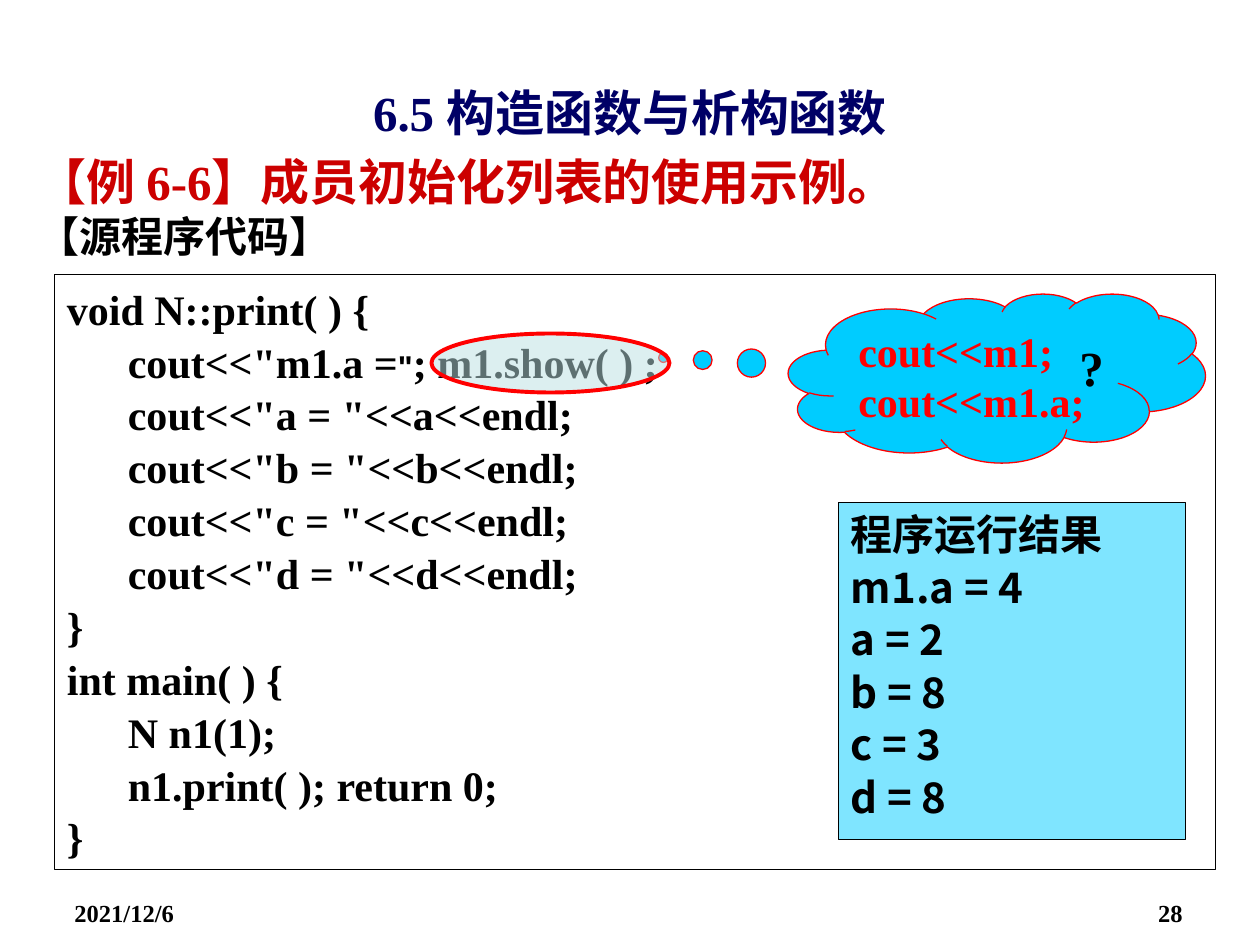
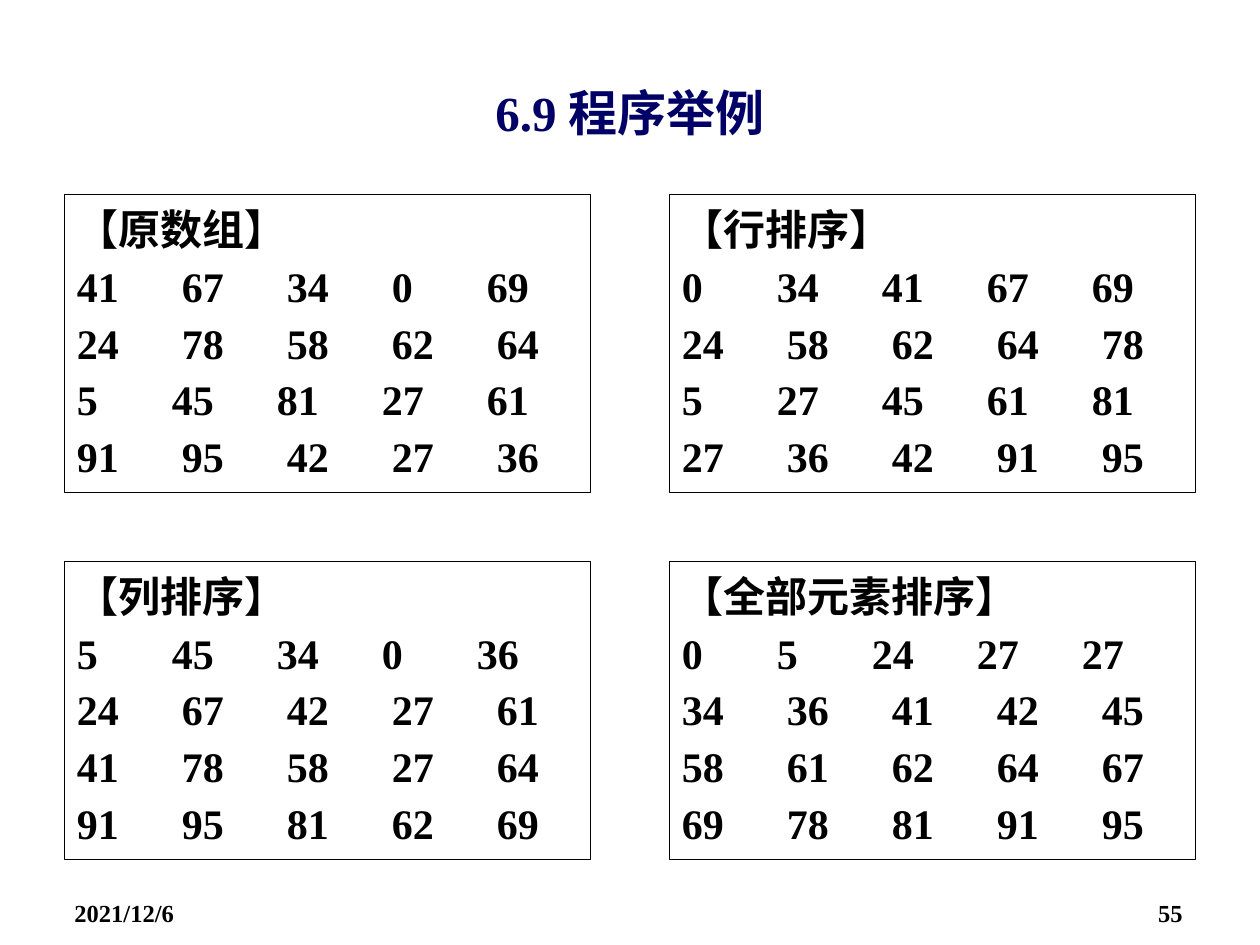
from pptx import Presentation
from pptx.dml.color import RGBColor
from pptx.enum.shapes import MSO_SHAPE as SHAPE
from pptx.enum.text import MSO_ANCHOR as ANCHOR, PP_ALIGN as ALIGN
from pptx.oxml.ns import qn
from pptx.util import Emu, Pt
from lxml.etree import SubElement

SCALE = 914400 / 126
HALF = 0.5  # centres thin outlines on whole pixels
ROMAN, HAN, ARIAL = "Times New Roman", "Noto Sans CJK SC", "Arial"
BLACK, NAVY, RED, CRIMSON = "000000", "000066", "FF0000", "CC0000"
CYAN, PALE = "00CCFF", "BBE0E3"
DATE = "2021/12/6"

# (level, text); the quote mark in the second line is set apart
CODE = [
    (0, "void N::print( ) {"),
    (1, ['cout<<"m1.a =', ('"', 18, ARIAL), "; m1.show( ) ;"]),
    (1, 'cout<<"a = "<<a<<endl;'),
    (1, 'cout<<"b = "<<b<<endl;'),
    (1, 'cout<<"c = "<<c<<endl;'),
    (1, 'cout<<"d = "<<d<<endl;'),
    (0, "}"),
    (0, "int main( ) {"),
    (1, "N n1(1);"),
    (1, "n1.print( ); return 0;"),
    (0, "}"),
]
RESULT = ["程序运行结果", "m1.a = 4", "a = 2", "b = 8", "c = 3", "d = 8"]
GUESS = ["cout<<m1;", "cout<<m1.a;"]
ARRAYS = [
    ("【原数组】", [(41, 67, 34, 0, 69), (24, 78, 58, 62, 64),
                 (5, 45, 81, 27, 61), (91, 95, 42, 27, 36)]),
    ("【行排序】", [(0, 34, 41, 67, 69), (24, 58, 62, 64, 78),
                 (5, 27, 45, 61, 81), (27, 36, 42, 91, 95)]),
    ("【列排序】", [(5, 45, 34, 0, 36), (24, 67, 42, 27, 61),
                 (41, 78, 58, 27, 64), (91, 95, 81, 62, 69)]),
    ("【全部元素排序】", [(0, 5, 24, 27, 27), (34, 36, 41, 42, 45),
                     (58, 61, 62, 64, 67), (69, 78, 81, 91, 95)]),
]


def px(n):
    return Emu(round(n * SCALE))


def rgb(code):
    return RGBColor.from_string(code)


def put(frame, text, size=24, font=ROMAN, color=BLACK, align=ALIGN.LEFT,
        before=0, lines=None, indent=0, tabs=()):
    """Add one paragraph; a list as text holds strings or (text, size, font)."""
    first = not frame.paragraphs[0].runs
    para = frame.paragraphs[0] if first else frame.add_paragraph()
    props = para._p.get_or_add_pPr()
    if indent:
        props.set("marL", str(px(indent)))
    para.alignment = align
    para.space_before = Pt(0 if first else before)
    if lines:
        para.line_spacing = lines
    if tabs:
        stops = SubElement(props, qn("a:tabLst"))
        for stop in tabs:
            SubElement(stops, qn("a:tab"), pos=str(px(stop)), algn="l")
    for part in [text] if isinstance(text, str) else text:
        words, pts, face = (part, size, font) if isinstance(part, str) else part
        run = para.add_run()
        run.text = words
        run.font.size, run.font.name, run.font.bold = Pt(pts), face, True
        run.font.color.rgb = rgb(color)
        SubElement(run._r.get_or_add_rPr(), qn("a:ea"), typeface=HAN)


def label(slide, box, wrap=True, anchor=ANCHOR.TOP):
    frame = slide.shapes.add_textbox(*map(px, box)).text_frame
    frame.word_wrap, frame.vertical_anchor = wrap, anchor
    return frame


def shape(slide, kind, box, fill=None, alpha=None, line=BLACK, width=0.75):
    x, y, w, h = box
    item = slide.shapes.add_shape(kind, px(x + HALF), px(y + HALF), px(w), px(h))
    item.shadow.inherit = False
    if fill:
        item.fill.solid()
        item.fill.fore_color.rgb = rgb(fill)
    else:
        item.fill.background()
    if alpha:
        tint = item.fill._xPr.find(qn("a:solidFill"))[0]
        SubElement(tint, qn("a:alpha"), val=str(alpha * 1000))
    item.line.color.rgb, item.line.width = rgb(line), Pt(width)
    item.text_frame.vertical_anchor = ANCHOR.TOP
    return item


def page(deck, title, number):
    """Add a slide with its title, date and number."""
    slide = deck.slides.add_slide(deck.slide_layouts[6])
    put(label(slide, (63, 68, 1134, 87), anchor=ANCHOR.MIDDLE), title,
        size=28, color=NAVY, align=ALIGN.CENTER)
    put(label(slide, (62, 892, 294, 37)), DATE, size=14)
    put(label(slide, (901, 892, 294, 37)), number, size=14, align=ALIGN.RIGHT)
    return slide


def sample(deck):
    slide = page(deck, "6.5 构造函数与析构函数", "28")
    head = label(slide, (25, 145, 1172, 118))
    put(head, "【例 6-6】成员初始化列表的使用示例。", size=28, color=CRIMSON)
    put(head, "【源程序代码】")

    code = shape(slide, SHAPE.RECTANGLE, (54, 274, 1161, 595)).text_frame
    for level, text in CODE:
        put(code, text, lines=1.05, indent=61 * level)

    result = shape(slide, SHAPE.RECTANGLE, (838, 502, 347, 337), CYAN, 50)
    for text in RESULT:
        put(result.text_frame, text, font=HAN, before=1.2)

    cloud = shape(slide, SHAPE.CLOUD_CALLOUT, (788, 293, 417, 169), CYAN, line=RED)
    cloud.adjustments[0], cloud.adjustments[1] = -0.8, -0.12
    for text in GUESS:
        put(cloud.text_frame, text, color=RED)
    shape(slide, SHAPE.OVAL, (431, 333, 238, 59), PALE, 50, RED, 2.25)
    put(label(slide, (1067, 331, 50, 72), wrap=False), "?", size=28)


def sorts(deck):
    slide = page(deck, "6.9 程序举例", "55")
    for i, (name, rows) in enumerate(ARRAYS):
        down, across = divmod(i, 2)
        box = (64 + 605 * across, 194 + 367 * down, 526, 298)
        frame = shape(slide, SHAPE.RECTANGLE, box).text_frame
        put(frame, name, lines=1.05)
        for row in rows:
            # a one-digit number takes a narrower column
            steps = [105 if n > 9 else 95 for n in row[:-1]]
            stops = [sum(steps[:k + 1]) for k in range(len(steps))]
            put(frame, "\t".join(map(str, row)), before=2.3, lines=1.05, tabs=stops)


def main():
    deck = Presentation()
    deck.slide_width, deck.slide_height = px(1260), px(945)
    sample(deck)
    sorts(deck)
    deck.save("out.pptx")


if __name__ == "__main__":
    main()
